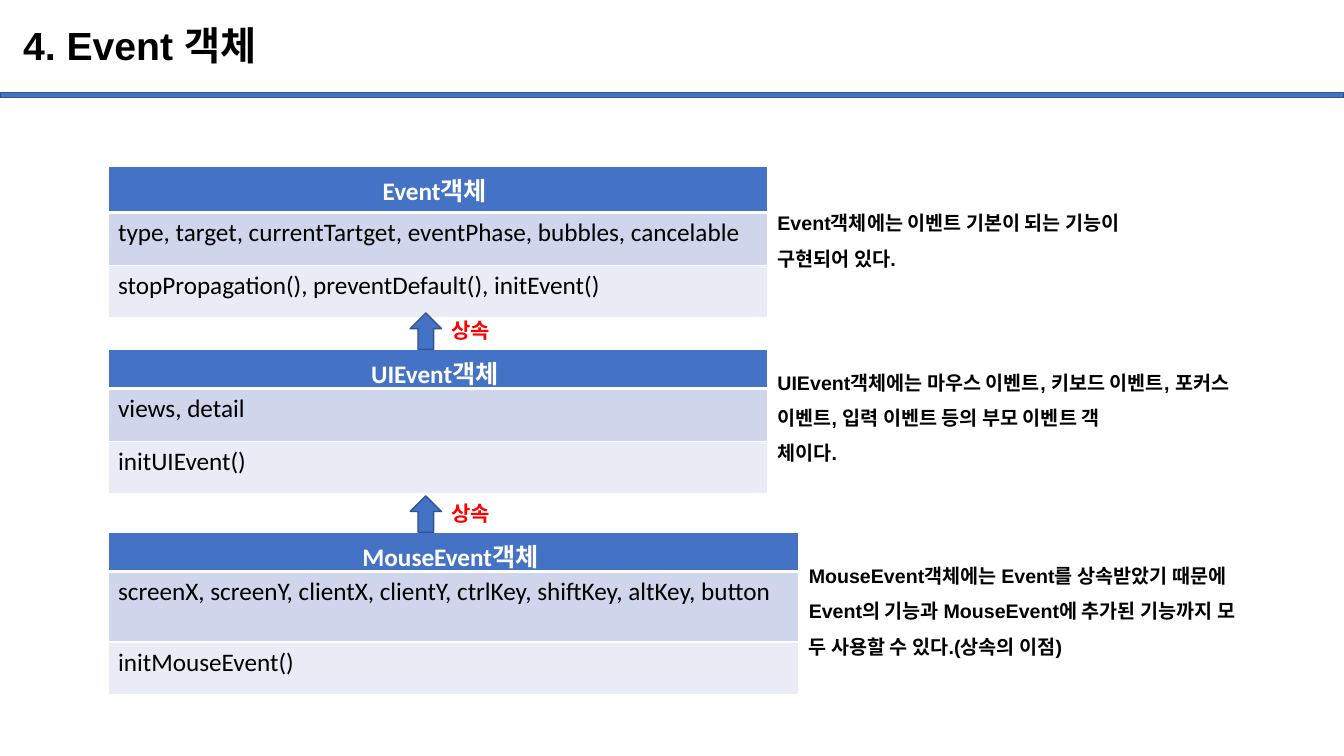
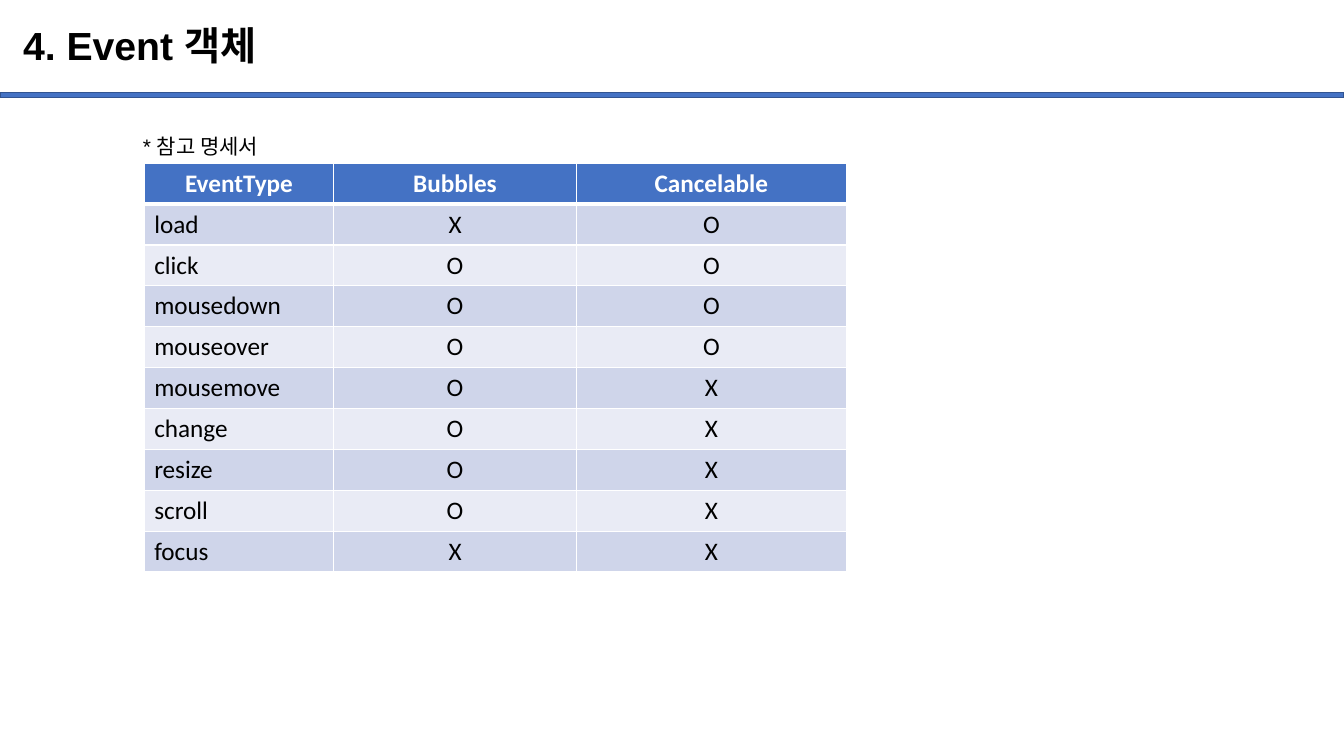
from pptx import Presentation
from pptx.dml.color import RGBColor
from pptx.enum.shapes import MSO_SHAPE as Shape
from pptx.enum.text import MSO_ANCHOR as Anchor, PP_ALIGN as Align
from pptx.oxml.ns import qn
from pptx.util import Pt
from lxml.etree import SubElement

BLUE, NAVY, WHITE, BLACK, RED = "4472C4", "325491", "FFFFFF", "000000", "FF0000"
BANDS = ("CFD5EA", "E9EBF5")
TITLE = "4. Event 객체"
INHERIT = "상속"

CLASSES = [
    {
        "rows": [["Event객체 "],
                 ["type, target, currentTartget, eventPhase, bubbles, cancelable"],
                 ["stopPropagation(), preventDefault(), initEvent()"]],
        "width": 471, "heights": [33, 37.6, 37.6], "header_bottom": 3.6,
        "note": ["Event객체에는 이벤트 기본이 되는 기능이", "구현되어 있다."],
        "note_top": 139,
    },
    {
        "rows": [["UIEvent객체 "], ["views, detail"], ["initUIEvent()"]],
        "width": 471, "heights": [28, 37.6, 37.6], "header_bottom": 0,
        "note": ["UIEvent객체에는 마우스 이벤트, 키보드 이벤트, "
                 "포커스 이벤트, 입력 이벤트 등의 부모 이벤트 객", "체이다."],
        "note_top": 252.9,
    },
    {
        "rows": [["MouseEvent객체 "],
                 ["screenX, screenY, clientX, clientY, ctrlKey, shiftKey, altKey, button"],
                 ["initMouseEvent()"]],
        "width": 493.4, "heights": [28, 50.4, 37.6], "header_bottom": 0,
        "note": ["MouseEvent객체에는 Event를 상속받았기 때문에 "
                 "Event의 기능과 MouseEvent에 추가된 기능까지 모",
                 "두 사용할 수 있다.(상속의 이점)"],
        "note_top": 391,
    },
]
CLASS_LEFT, CLASS_TOP, CLASS_PITCH = 77.2, 118.8, 130.7
ARROW_LEFT, ARROW_WIDTH, ARROW_HEIGHT = 293, 22.4, 26

SPEC_CAPTION = "* 참고 명세서"
SPEC_ROWS = [
    ["EventType", "Bubbles", "Cancelable"],
    ["load", "X", "O"],
    ["click", "O", "O"],
    ["mousedown", "O", "O"],
    ["mouseover", "O", "O"],
    ["mousemove", "O", "X"],
    ["change", "O", "X"],
    ["resize", "O", "X"],
    ["scroll", "O", "X"],
    ["focus", "X", "X"],
]
SPEC_WIDTHS = [135.4, 173.3, 193]
SPEC_ROW_HEIGHT = 29.2


def rgb(value):
    return RGBColor.from_string(value)


def add_span(para, text, size, color, bold, font="Arial"):
    span = para.add_run()
    span.text = text
    span.font.name = font
    span.font.size = Pt(size)
    span.font.bold = bold
    span.font.color.rgb = rgb(color)


def add_text(page, place, lines, size, color=BLACK, bold=True, spacing=1.0,
             wrap=True, anchor=Anchor.TOP):
    box = page.shapes.add_textbox(*map(Pt, place))
    frame = box.text_frame
    frame.word_wrap = wrap
    frame.vertical_anchor = anchor
    for index, line in enumerate(lines):
        para = frame.add_paragraph() if index else frame.paragraphs[0]
        para.line_spacing = spacing
        add_span(para, line, size, color, bold)


def add_blue_shape(page, kind, place):
    shape = page.shapes.add_shape(kind, *map(Pt, place))
    shape.shadow.inherit = False
    shape.fill.solid()
    shape.fill.fore_color.rgb = rgb(BLUE)
    shape.line.color.rgb = rgb(NAVY)
    shape.line.width = Pt(1)


def set_borders(cell, top, bottom):
    properties = cell._tc.get_or_add_tcPr()
    for side, width in (("L", 1), ("R", 1), ("T", top), ("B", bottom)):
        line = SubElement(properties, qn(f"a:ln{side}"), w=str(Pt(width)))
        fill = SubElement(line, qn("a:solidFill"))
        SubElement(fill, qn("a:srgbClr"), val=WHITE)


def add_grid(page, left, top, rows, widths, heights, header_bottom=3.6):
    table = page.shapes.add_table(
        len(rows), len(widths), Pt(left), Pt(top),
        Pt(sum(widths)), Pt(sum(heights))).table
    table.horz_banding = False
    for column, width in zip(table.columns, widths):
        column.width = Pt(width)
    for r, (values, height) in enumerate(zip(rows, heights)):
        table.rows[r].height = Pt(height)
        header = r == 0
        for c, value in enumerate(values):
            cell = table.cell(r, c)
            set_borders(cell, 3 if r == 1 else 1, 3 if header else 1)
            cell.fill.solid()
            cell.fill.fore_color.rgb = rgb(BLUE if header else BANDS[(r - 1) % 2])
            if header:
                cell.margin_bottom = Pt(header_bottom)
            para = cell.text_frame.paragraphs[0]
            para.alignment = Align.CENTER if header or c else Align.LEFT
            add_span(para, value, 18, WHITE if header else BLACK, header, "Calibri")


def add_page(deck):
    page = deck.slides.add_slide(deck.slide_layouts[6])
    add_blue_shape(page, Shape.RECTANGLE, (0, 66.2, 960, 3.6))
    add_text(page, (9.4, 7.2, 828, 53.3), [TITLE], 28, spacing=0.9,
             anchor=Anchor.MIDDLE)
    return page


def build_inheritance(deck):
    page = add_page(deck)
    for index, item in enumerate(CLASSES):
        top = CLASS_TOP + index * CLASS_PITCH
        add_grid(page, CLASS_LEFT, top, item["rows"], [item["width"]],
                 item["heights"], item["header_bottom"])
        add_text(page, (CLASS_LEFT + item["width"], item["note_top"], 351.4, 80),
                 item["note"], 14, spacing=1.5)
        if index:
            arrow_top = top - ARROW_HEIGHT
            add_blue_shape(page, Shape.UP_ARROW,
                           (ARROW_LEFT, arrow_top, ARROW_WIDTH, ARROW_HEIGHT))
            add_text(page, (ARROW_LEFT + ARROW_WIDTH, arrow_top, 44.6, 25.2),
                     [INHERIT], 15, RED, wrap=False)


def build_specification(deck):
    page = add_page(deck)
    add_text(page, (95, 82.8, 827, 31), [SPEC_CAPTION], 15, bold=False, spacing=1.5)
    add_grid(page, 103, 116.6, SPEC_ROWS, SPEC_WIDTHS,
             [SPEC_ROW_HEIGHT] * len(SPEC_ROWS))


def main():
    deck = Presentation()
    deck.slide_width, deck.slide_height = Pt(960), Pt(540)
    build_inheritance(deck)
    build_specification(deck)
    deck.save("out.pptx")


if __name__ == "__main__":
    main()
